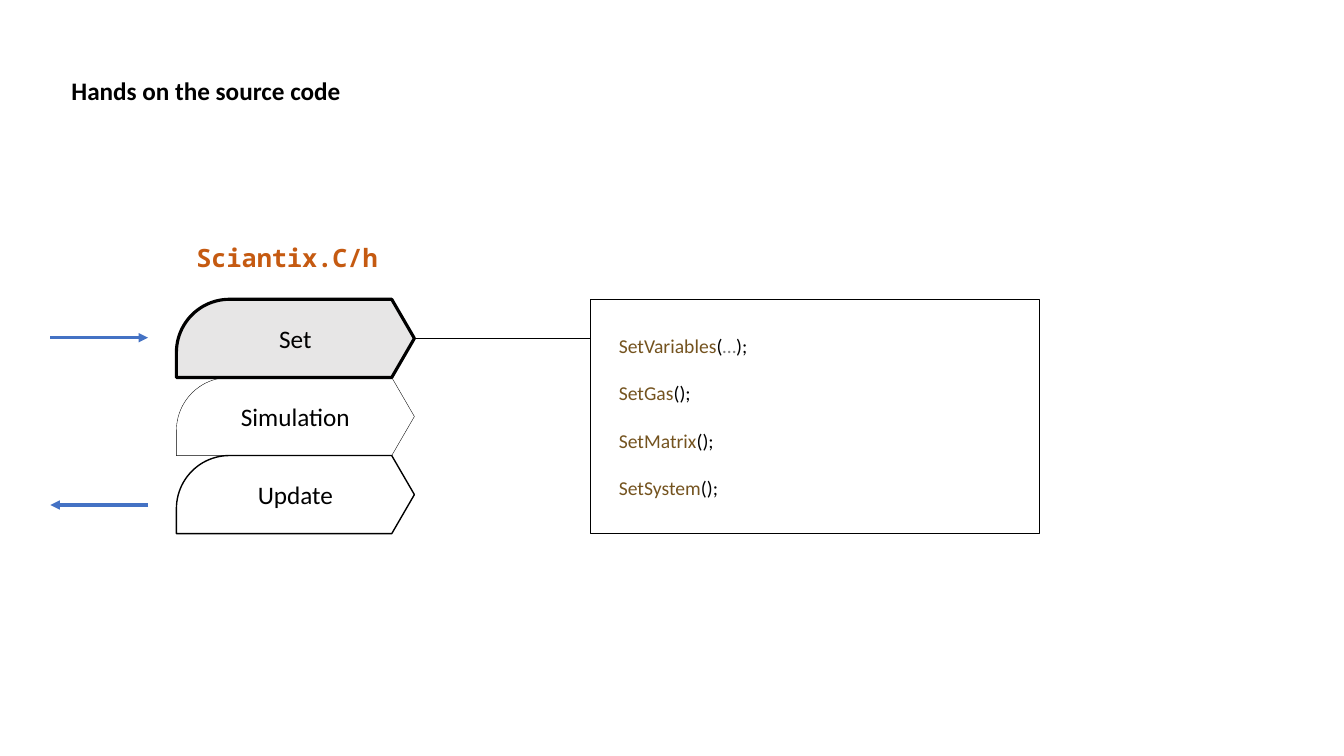
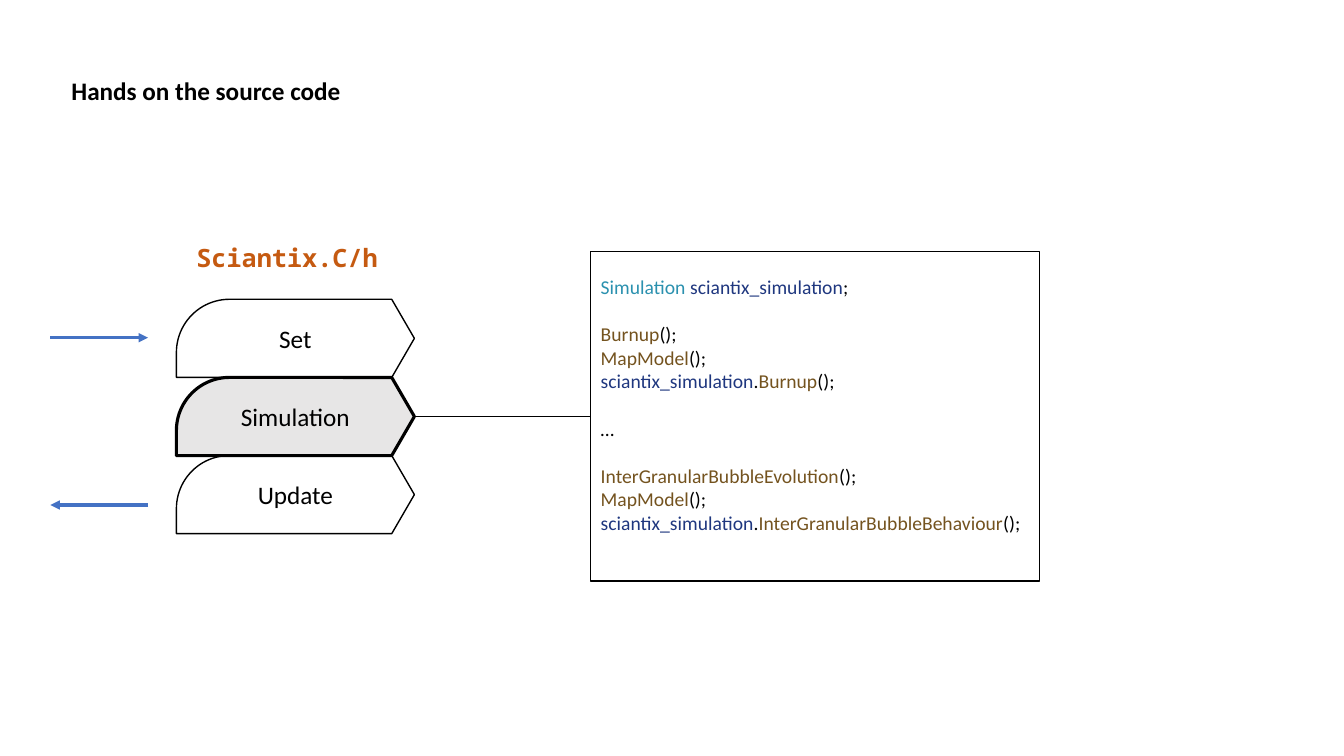
from dataclasses import dataclass

from lxml.etree import SubElement
from pptx import Presentation
from pptx.dml.color import RGBColor
from pptx.enum.shapes import MSO_CONNECTOR, MSO_SHAPE
from pptx.enum.text import MSO_ANCHOR, PP_ALIGN
from pptx.oxml.ns import qn
from pptx.util import Pt

COLORS = {
    "text": "000000",
    "file": "C55A11",
    "active": "E7E6E6",
    "flow": "4472C4",
    "function": "74531F",
    "variable": "1F377F",
    "type": "2B91AF",
    "muted": "808080",
}
TITLE_FONT = {"name": "Calibri", "size": Pt(18), "bold": True}
FILE_FONT = {"name": "Noto Sans Mono", "size": Pt(18), "bold": True}
STAGE_FONT = {"name": "Calibri", "size": Pt(18), "bold": False}
CODE_FONT = {"name": "Calibri", "size": Pt(14), "bold": False}
NO_INSETS = {"margin_left": 0, "margin_top": 0, "margin_right": 0, "margin_bottom": 0}

STAGES = ("Set", "Simulation", "Update")
STAGE_LEFT, STAGE_TOP, STAGE_WIDTH, STAGE_HEIGHT = 126, 213.8, 170, 55.8
STAGE_ADJUSTMENTS = (1, 0.5, 0.29, 0.68)
STACK_HEIGHT = STAGE_HEIGHT * len(STAGES)
STACK_MIDDLE = STAGE_TOP + STACK_HEIGHT / 2
CODE_LEFT, CODE_WIDTH = 422, 320.4
FLOW_OUTER, FLOW_INNER = 36, 105.8
INPUT_Y, OUTPUT_Y = 241.2, 360.7
CODE_GAP = 17


@dataclass(frozen=True)
class Token:
    text: str
    color: str = "text"


@dataclass(frozen=True)
class Line:
    tokens: tuple[Token, ...]
    gap: float = 0


@dataclass(frozen=True)
class Step:
    active: str
    outlines: dict[str, float]
    code_height: float
    insets: dict[str, int]
    code: tuple[Line, ...]


def call(function: str, owner: str = "", gap: float = 0) -> Line:
    prefix = (Token(owner, "variable"), Token(".")) if owner else ()
    return Line(prefix + (Token(function, "function"), Token("();")), gap)


STEPS = (
    Step(
        "Set",
        {"Set": 2.25, "Simulation": 0.25, "Update": 1},
        STACK_HEIGHT,
        {"margin_left": Pt(20)},
        (
            Line((Token("SetVariables", "function"), Token("("), Token("…", "muted"), Token(");"))),
            call("SetGas", gap=CODE_GAP),
            call("SetMatrix", gap=CODE_GAP),
            call("SetSystem", gap=CODE_GAP),
        ),
    ),
    Step(
        "Simulation",
        {"Set": 1, "Simulation": 2.25, "Update": 1},
        235.4,
        {"margin_bottom": Pt(20.6)},
        (
            Line((Token("Simulation", "type"), Token(" "), Token("sciantix_simulation", "variable"), Token(";"))),
            call("Burnup", gap=CODE_GAP),
            call("MapModel"),
            call("Burnup", "sciantix_simulation"),
            Line((Token("…"),), CODE_GAP),
            call("InterGranularBubbleEvolution", gap=CODE_GAP),
            call("MapModel"),
            call("InterGranularBubbleBehaviour", "sciantix_simulation"),
        ),
    ),
)


def rgb(color: str) -> RGBColor:
    return RGBColor.from_string(COLORS[color])


def apply_format(target, values: dict) -> None:
    for attribute, value in values.items():
        setattr(target, attribute, value)


def add_run(paragraph, token: Token, font: dict) -> None:
    run = paragraph.add_run()
    run.text = token.text
    apply_format(run.font, font)
    run.font.color.rgb = rgb(token.color)


def add_label(slide, left: float, top: float, width: float, token: Token,
              font: dict, frame_format: dict, line_spacing: float = 1) -> None:
    frame = slide.shapes.add_textbox(Pt(left), Pt(top), Pt(width), Pt(28.8)).text_frame
    apply_format(frame, {"word_wrap": True, **frame_format})
    frame.paragraphs[0].line_spacing = line_spacing
    add_run(frame.paragraphs[0], token, font)


def add_outlined(slide, preset: MSO_SHAPE, left: float, top: float,
                 width: float, height: float, outline: float):
    shape = slide.shapes.add_shape(preset, Pt(left), Pt(top), Pt(width), Pt(height))
    shape.shadow.inherit = False
    shape.fill.background()
    shape.line.color.rgb = rgb("text")
    shape.line.width = Pt(outline)
    apply_format(shape.text_frame, {"word_wrap": True, "vertical_anchor": MSO_ANCHOR.MIDDLE})
    return shape


def add_line(slide, start: float, end: float, y: float, color: str,
             width: float, arrow: bool = False) -> None:
    line = slide.shapes.add_connector(MSO_CONNECTOR.STRAIGHT, Pt(start), Pt(y), Pt(end), Pt(y))
    line.line.color.rgb = rgb(color)
    line.line.width = Pt(width)
    if arrow:
        SubElement(line.line._get_or_add_ln(), qn("a:tailEnd"), type="triangle")
    SubElement(line._element.spPr, qn("a:effectLst"))


def add_stage(slide, index: int, name: str, step: Step) -> None:
    top = STAGE_TOP + index * STAGE_HEIGHT
    stage = add_outlined(slide, MSO_SHAPE.BENT_ARROW, STAGE_LEFT, top,
                         STAGE_WIDTH, STAGE_HEIGHT, step.outlines[name])
    for position, value in enumerate(STAGE_ADJUSTMENTS):
        stage.adjustments[position] = value
    paragraph = stage.text_frame.paragraphs[0]
    paragraph.alignment = PP_ALIGN.CENTER
    add_run(paragraph, Token(name), STAGE_FONT)
    if name == step.active:
        stage.fill.solid()
        stage.fill.fore_color.rgb = rgb("active")
        add_line(slide, STAGE_LEFT + STAGE_WIDTH, CODE_LEFT, top + STAGE_HEIGHT / 2, "text", 0.5)


def add_code(slide, step: Step) -> None:
    frame = add_outlined(slide, MSO_SHAPE.RECTANGLE, CODE_LEFT, STACK_MIDDLE - step.code_height / 2,
                         CODE_WIDTH, step.code_height, 1).text_frame
    apply_format(frame, step.insets)
    for index, line in enumerate(step.code):
        paragraph = frame.add_paragraph() if index else frame.paragraphs[0]
        apply_format(paragraph, {"alignment": PP_ALIGN.LEFT, "space_before": Pt(line.gap)})
        for token in line.tokens:
            add_run(paragraph, token, CODE_FONT)


def add_step(presentation, step: Step) -> None:
    slide = presentation.slides.add_slide(presentation.slide_layouts[6])
    add_label(slide, 51, 51.8, 857.5, Token("Hands on the source code"), TITLE_FONT,
              {"vertical_anchor": MSO_ANCHOR.MIDDLE, **NO_INSETS}, 0.9)
    add_label(slide, 133.2, 169.2, 155.5, Token("Sciantix.C/h", "file"), FILE_FONT, {})
    for index, name in enumerate(STAGES):
        add_stage(slide, index, name, step)
    add_line(slide, FLOW_OUTER, FLOW_INNER, INPUT_Y, "flow", 2.25, True)
    add_line(slide, FLOW_INNER, FLOW_OUTER, OUTPUT_Y, "flow", 2.25, True)
    add_code(slide, step)


def main() -> None:
    presentation = Presentation()
    apply_format(presentation, {"slide_width": Pt(960), "slide_height": Pt(540)})
    for step in STEPS:
        add_step(presentation, step)
    presentation.save("out.pptx")


if __name__ == "__main__":
    main()
